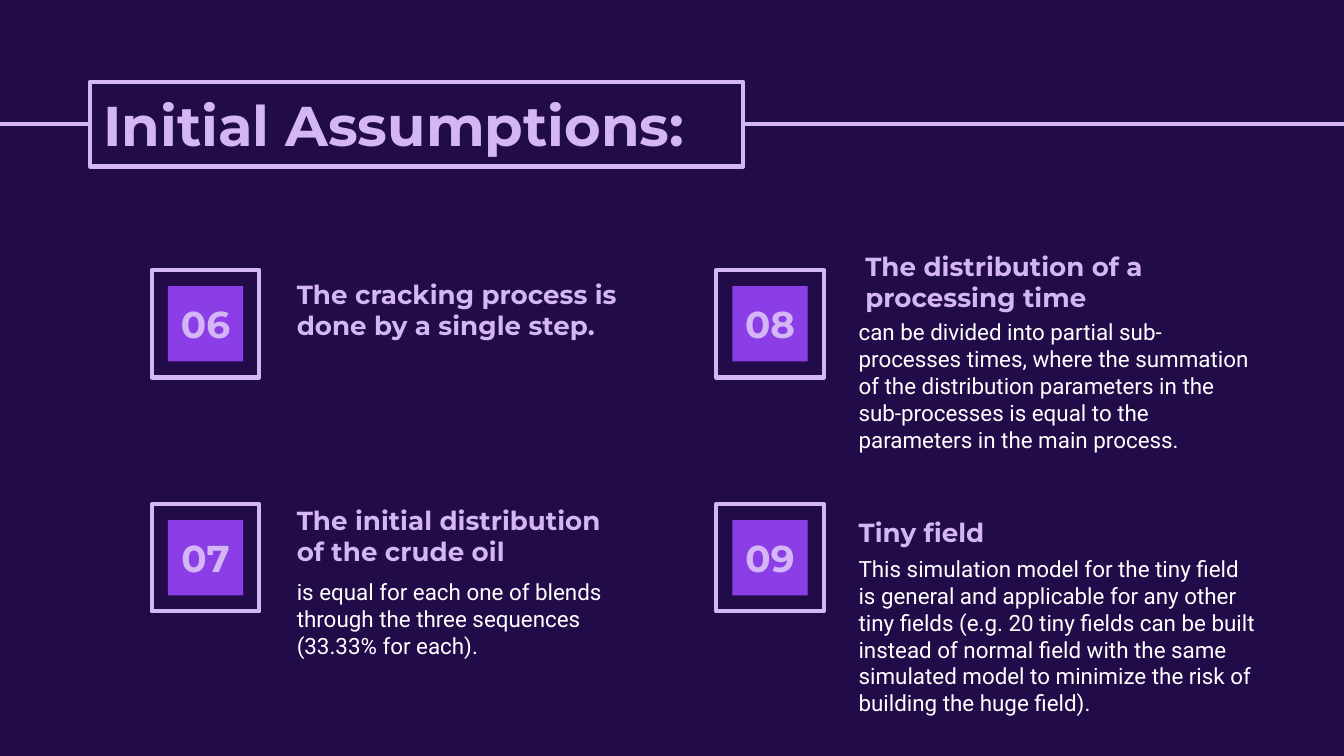
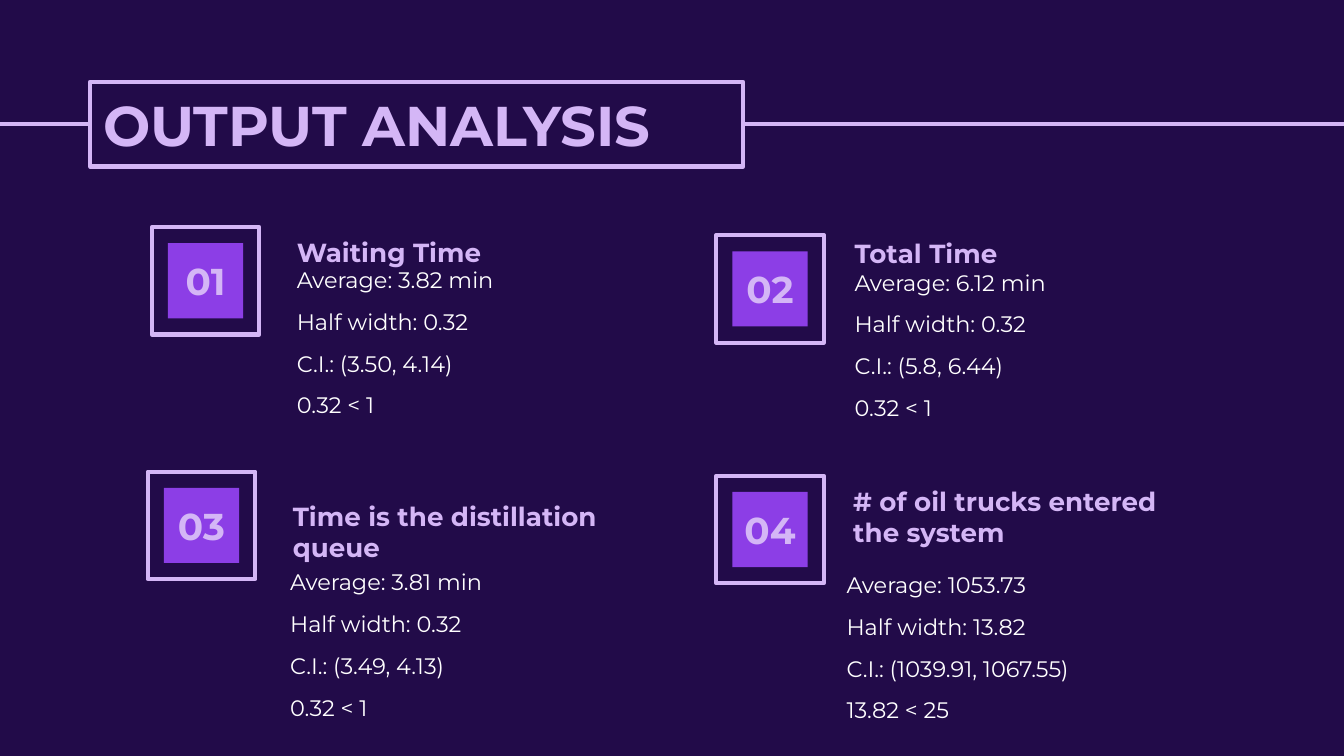
"""Build two slides of numbered cards under a boxed title."""
from lxml.etree import SubElement
from pptx import Presentation
from pptx.dml.color import RGBColor as Rgb
from pptx.enum.shapes import MSO_CONNECTOR as Link, MSO_SHAPE as Kind
from pptx.enum.text import MSO_ANCHOR as Anchor, PP_ALIGN as Align
from pptx.oxml.ns import qn
from pptx.util import Pt

PX = 4572
WIDE, HIGH = 2000, 1125
HUES = {"night": "220B49", "lilac": "D4B6F6", "violet": "8C3EE6", "white": "FFFFFF"}
HEAD, BODY = "Montserrat", "Roboto"
PAD, EDGE = 20, 2.25
OUTER, INNER = 160, 112

FACTS = [
    ("06", (226, 402), (422, 394, 516, 168), "The cracking process is done by a single step.", None, ""),
    ("07", (226, 750), (422, 730, 516, 108), "The initial distribution of the crude oil",
     (422, 840, 516, 158),
     "is equal for each one of blends through the three sequences (33.33% for each)."),
    ("08", (1066, 402), (1268, 352, 580, 118), "The distribution of a processing time",
     (1258, 454, 634, 264),
     "can be divided into partial sub-processes times, where the summation of the "
     "distribution parameters in the sub-processes is equal to the parameters in the "
     "main process."),
    ("09", (1066, 750), (1258, 748, 516, 92), "Tiny field",
     (1258, 806, 634, 264),
     "This simulation model for the tiny field is general and applicable for any other "
     "tiny fields (e.g. 20 tiny fields can be built instead of normal field with the same "
     "simulated model to minimize the risk of building the huge field)."),
]

STATS = [
    ("01", (226, 338), (422, 332, 516, 92), "Waiting Time", (392, 376, 516, 128),
     ("3.82 min", "0.32", "(3.50, 4.14)", "0.32 < 1")),
    ("02", (1066, 350), (1252, 334, 516, 92), "Total Time", (1222, 380, 516, 128),
     ("6.12 min", "0.32", "(5.8, 6.44)", "0.32 < 1")),
    ("03", (220, 702), (416, 724, 576, 126), "Time is the distillation queue", (382, 826, 516, 128),
     ("3.81 min", "0.32", "(3.49, 4.13)", "0.32 < 1")),
    ("04", (1066, 708), (1250, 702, 516, 164), "# of oil trucks entered the system", (1210, 830, 516, 128),
     ("1053.73", "13.82", "(1039.91, 1067.55)", "13.82 < 25")),
]


def emu(box):
    """Turn px lengths into EMU."""
    return [n * PX for n in box]


def ink(name):
    """Look up a colour by name."""
    return Rgb.from_string(HUES[name])


def write(shape, *rows, size=14, font=HEAD, hue="lilac", bold=True,
          align=Align.LEFT, anchor=Anchor.TOP, left=0, hang=0, after=0):
    """Fill a shape with one paragraph per row."""
    frame = shape.text_frame
    frame.word_wrap = True
    frame.vertical_anchor = anchor
    frame.margin_left = frame.margin_right = PAD * PX
    frame.margin_top = frame.margin_bottom = PAD * PX
    for i, row in enumerate(rows):
        para = frame.add_paragraph() if i else frame.paragraphs[0]
        para.alignment = align
        if left:
            props = para._p.get_or_add_pPr()
            props.set("marL", str(left * PX))
            props.set("indent", str(-hang * PX))
        if i < len(rows) - 1:
            para.space_after = Pt(after)
        run = para.add_run()
        run.text = row
        run.font.size, run.font.name, run.font.bold = Pt(size), font, bold
        run.font.color.rgb = ink(hue)


def label(slide, box, *rows, **form):
    """Place a text box."""
    write(slide.shapes.add_textbox(*emu(box)), *rows, **form)


def square(shapes, box, fill=None, line=None):
    """Draw a rectangle with an optional fill and edge."""
    shape = shapes.add_shape(Kind.RECTANGLE, *emu(box))
    shape.shadow.inherit = False
    if fill:
        shape.fill.solid()
        shape.fill.fore_color.rgb = ink(fill)
    else:
        shape.fill.background()
    if line:
        shape.line.color.rgb = ink(line)
        shape.line.width = Pt(EDGE)
    else:
        shape.line.fill.background()
    return shape


def rule(slide, y):
    """Draw a line across the slide."""
    line = slide.shapes.add_connector(Link.STRAIGHT, *emu((0, y, WIDE, y)))
    line.line.color.rgb = ink("lilac")
    line.line.width = Pt(EDGE)
    SubElement(line._element.spPr, qn("a:effectLst"))


def badge(slide, num, x, y):
    """Draw a framed square with its number."""
    gap = (OUTER - INNER) // 2
    group = slide.shapes.add_group_shape()
    square(group.shapes, (x, y, OUTER, OUTER), line="lilac")
    square(group.shapes, (x + gap, y + gap, INNER, INNER), fill="violet")
    label(slide, (x, y + 42, OUTER, 76), num, size=20,
          align=Align.CENTER, anchor=Anchor.MIDDLE)


def card(slide, num, spot, top, head):
    """Place a badge and its heading."""
    badge(slide, num, *spot)
    label(slide, top, head)


def page(deck, title):
    """Add a slide with its ground, rule and title box."""
    slide = deck.slides.add_slide(deck.slide_layouts[6])
    slide.background.fill.solid()
    slide.background.fill.fore_color.rgb = ink("night")
    rule(slide, 184)
    box = square(slide.shapes, (134, 122, 972, 126), fill="night", line="lilac")
    write(box, title, size=30, anchor=Anchor.MIDDLE)
    return slide


def main():
    """Build and save the deck."""
    deck = Presentation()
    deck.slide_width, deck.slide_height = emu((WIDE, HIGH))

    slide = page(deck, "Initial Assumptions:")
    for *top, box, text in FACTS:
        card(slide, *top)
        if text:
            label(slide, box, text, size=12, font=BODY, hue="white", bold=False)

    slide = page(deck, "OUTPUT ANALYSIS")
    for *top, box, (mean, half, span, test) in STATS:
        card(slide, *top)
        label(slide, box, f"Average: {mean}", f"Half width: {half}", f"C.I.: {span}", test,
              size=12, hue="white", bold=False, left=100, hang=70, after=8)

    deck.save("out.pptx")


if __name__ == "__main__":
    main()
